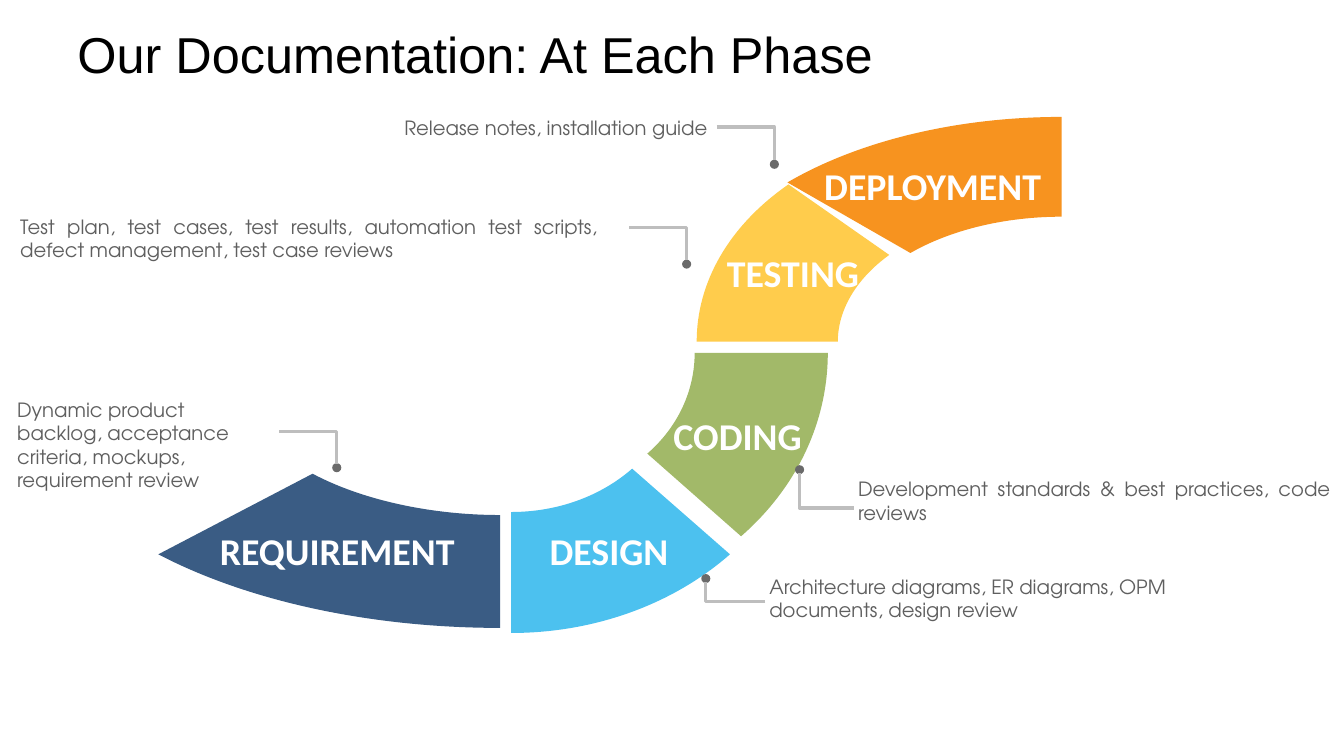
from collections import namedtuple

from lxml.etree import Element, SubElement
from pptx import Presentation
from pptx.dml.color import RGBColor
from pptx.enum.shapes import MSO_CONNECTOR, MSO_SHAPE
from pptx.enum.text import MSO_ANCHOR, PP_ALIGN
from pptx.oxml.ns import qn
from pptx.util import Inches, Pt

BLACK = RGBColor(0x00, 0x00, 0x00)
WHITE = RGBColor(0xFF, 0xFF, 0xFF)
NOTE_GREY = RGBColor(0x5F, 0x5F, 0x5F)
DOT_GREY = RGBColor(0x6A, 0x6A, 0x6A)
LEADER_GREY = RGBColor(0xBE, 0xBE, 0xBE)
GREEN = RGBColor(0xA2, 0xB9, 0x69)
SKY = RGBColor(0x4C, 0xC1, 0xEF)
NAVY = RGBColor(0x3A, 0x5C, 0x84)
YELLOW = RGBColor(0xFF, 0xCC, 0x4C)
ORANGE = RGBColor(0xF7, 0x93, 0x1F)

# All lengths are in cells of a square grid, ten cells to the inch
CELL = Inches(0.1)
DOT = 0.9
Box = namedtuple("Box", "left top width height")

# Each phase: label, colour, outer curve, inner curve, insets (left, top, right, bottom)
PHASES = [
    ("CODING", GREEN,
     [(66.4, 23.4), (66.4, 30.3), (63.3, 36.8), (57.8, 41.6)],
     [(48.5, 33.4), (51.5, 30.8), (53.2, 27.2), (53.2, 23.4)], (0.7, 0.4, 0.7, 2.3)),
    ("DESIGN", SKY,
     [(56.7, 43.4), (51, 48.4), (43.2, 51.2), (35, 51.2)],
     [(35, 39.2), (39.5, 39.2), (43.8, 37.7), (47, 34.9)], (0.7, 0.4, 3, 0.4)),
    ("REQUIREMENT", NAVY,
     [(33.9, 50.7), (21.2, 50.7), (9, 48.1), (0, 43.4)],
     [(15.3, 35.4), (20.2, 38), (27, 39.5), (33.9, 39.5)], (2.3, 0.4, 0.7, 0.4)),
    ("TESTING", YELLOW,
     [(53.4, 22.3), (53.4, 16.4), (56.6, 10.8), (62.5, 6.7)],
     [(72.5, 13.7), (69.3, 16), (67.4, 19.1), (67.4, 22.3)], (0.7, 2.3, 0.7, 0.4)),
    ("DEPLOYMENT", ORANGE,
     [(62.4, 6.5), (69.6, 2.3), (79.4, 0), (89.6, 0)],
     [(89.6, 9.9), (84, 9.9), (78.6, 11.2), (74.6, 13.5)], (2.3, 0.4, 0.7, 0.4)),
]

# Each callout: note, its box, alignment, leader start from the box corner, leader run and drop
CALLOUTS = [
    ("Architecture diagrams, ER diagrams, OPM documents, design review",
     Box(76.3, 56.5, 46.9, 5.7), PP_ALIGN.LEFT, (-0.4, 3.2), (-5.9, -2)),
    ("Development standards & best practices, code reviews",
     Box(85.1, 46.8, 46.9, 5.7), PP_ALIGN.JUSTIFY, (-0.4, 3.6), (-5.4, -3.5)),
    ("Release notes, installation guide",
     Box(17, 11, 53.2, 3.4), PP_ALIGN.RIGHT, (54.1, 1.6), (5.7, 3.3)),
    ("Test plan, test cases, test results, automation test scripts, "
     "defect management, test case reviews",
     Box(2, 20.8, 57.3, 5.7), PP_ALIGN.JUSTIFY, (60.4, 1.8), (5.7, 3.2)),
    ("Dynamic product backlog, acceptance criteria, mockups, requirement review",
     Box(1.7, 38.9, 24.1, 10.4), PP_ALIGN.LEFT, (26, 3.9), (5.7, 3.2)),
]


def cells(*lengths):
    return [round(length * CELL) for length in lengths]


def write(shape, text, font, size, color, bold=False, align=PP_ALIGN.LEFT,
          insets=(0, 0.5, 0, 0.5)):
    frame = shape.text_frame
    frame.word_wrap = True
    frame.vertical_anchor = MSO_ANCHOR.MIDDLE
    (frame.margin_left, frame.margin_top,
     frame.margin_right, frame.margin_bottom) = cells(*insets)
    para = frame.paragraphs[0]
    para.alignment = align
    span = para.add_run()
    span.text = text
    span.font.name = font
    span.font.size = Pt(size)
    span.font.bold = bold
    span.font.color.rgb = color


def paint(shape, color):
    shape.shadow.inherit = False
    shape.fill.solid()
    shape.fill.fore_color.rgb = color
    shape.line.fill.background()


def bend(shape):
    """Turn the first three and the last three line segments into cubic curves."""
    lines = list(shape._element.iter(qn("a:lnTo")))
    for trio in (lines[:3], lines[4:7]):
        curve = Element(qn("a:cubicBezTo"))
        trio[0].addprevious(curve)
        for line in trio:
            curve.append(line[0])
            line.getparent().remove(line)


def add_title(page, box):
    title = page.shapes.add_textbox(*cells(*box))
    write(title, "Our Documentation: At Each Phase", "Arial", 36, BLACK,
          insets=(1, 0.5, 1, 0.5))


def add_phase_curve(page, box):
    for label, color, outer, inner, insets in PHASES:
        outline = [cells(box.left + x, box.top + y) for x, y in outer + inner]
        builder = page.shapes.build_freeform(*outline[0])
        builder.add_line_segments(outline[1:], close=True)
        phase = builder.convert_to_shape()
        bend(phase)
        paint(phase, color)
        write(phase, label, "Calibri", 27, WHITE, bold=True,
              align=PP_ALIGN.CENTER, insets=insets)


def add_callout(page, box, note, align, start, reach):
    # Dot at the leader's far end
    x, y = box.left + start[0], box.top + start[1]
    end_x, end_y = x + reach[0], y + reach[1]
    middle_y = end_y + (0.4 if reach[1] > 0 else -0.3)
    dot = page.shapes.add_shape(
        MSO_SHAPE.OVAL, *cells(end_x - DOT / 2, middle_y - DOT / 2, DOT, DOT))
    paint(dot, DOT_GREY)

    # Leader: across, then up or down
    leader = page.shapes.add_connector(MSO_CONNECTOR.ELBOW, *cells(x, y, end_x, end_y))
    leader.line.color.rgb = LEADER_GREY
    leader.line.width = Pt(2.25)
    properties = leader._element.spPr
    properties.find(qn("a:prstGeom")).set("prst", "bentConnector2")
    SubElement(properties, qn("a:effectLst"))

    # Note
    write(page.shapes.add_textbox(*cells(*box)), note, "TeX Gyre Adventor", 14,
          NOTE_GREY, align=align)


deck = Presentation()
deck.slide_width, deck.slide_height = Inches(13.33), Inches(7.5)
page = deck.slides.add_slide(deck.slide_layouts[6])
add_title(page, Box(6.7, 2.1, 120, 6.4))
add_phase_curve(page, Box(15.7, 11.6, 89.6, 51.2))
for note, box, align, start, reach in CALLOUTS:
    add_callout(page, box, note, align, start, reach)
deck.save("out.pptx")
